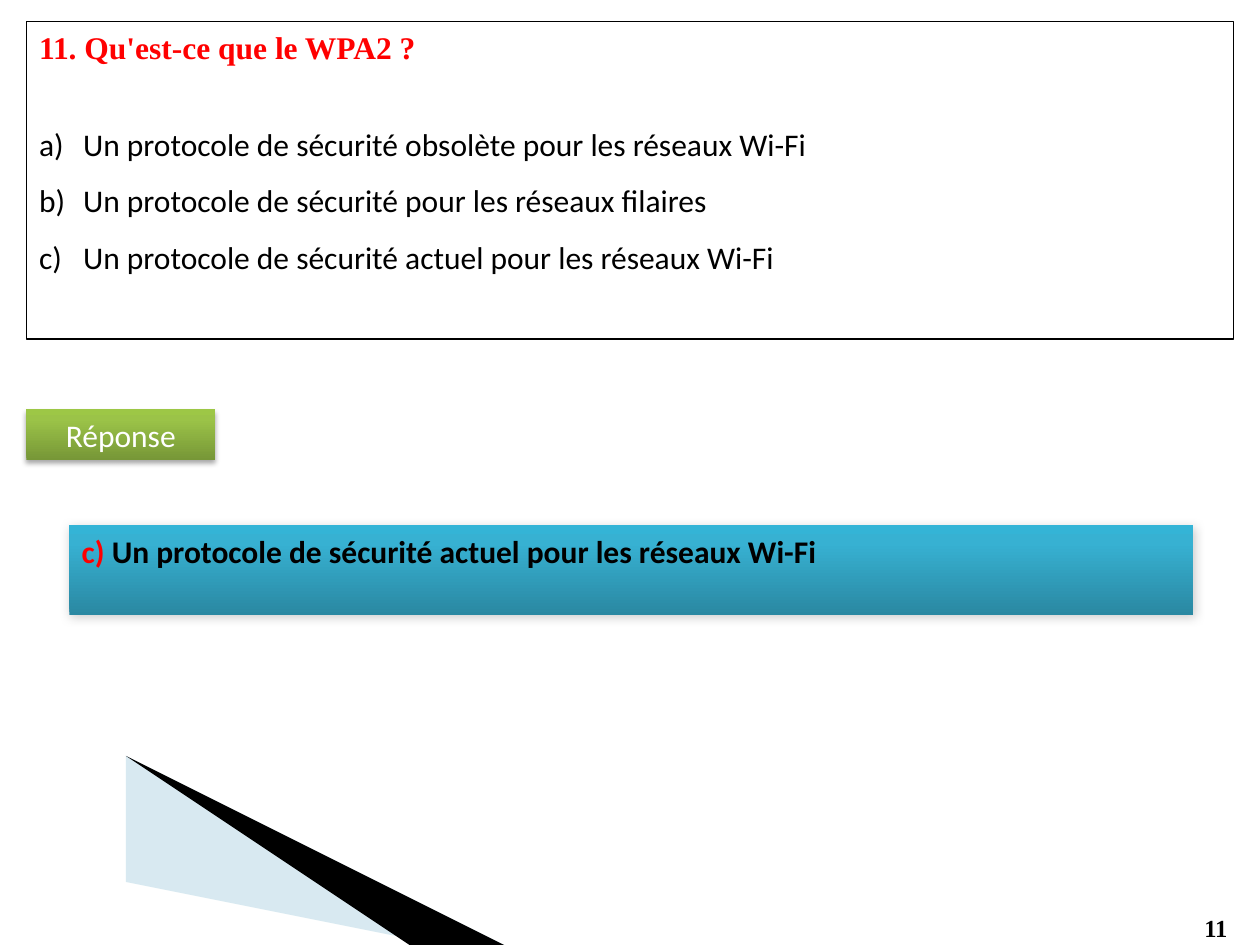
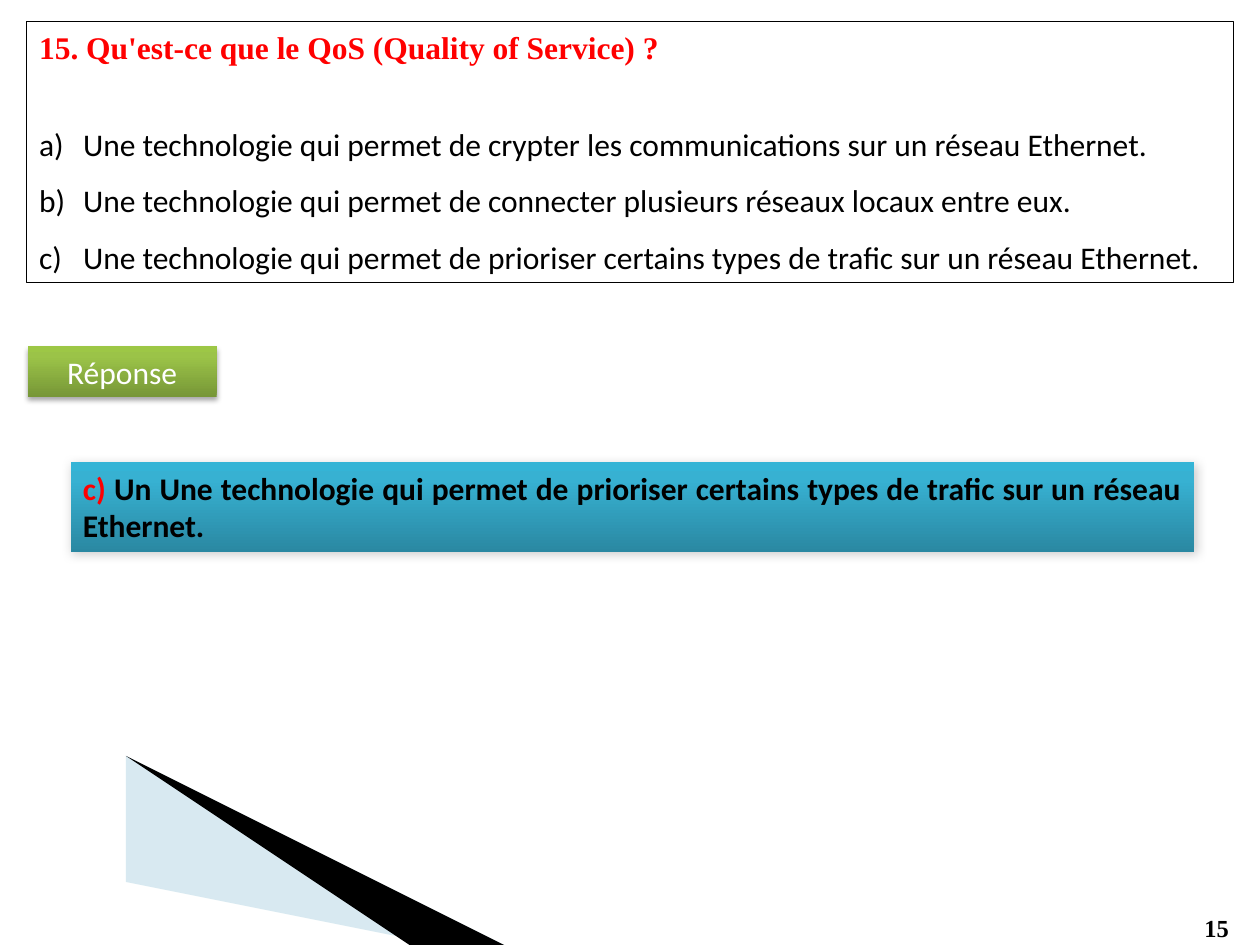
"""Build two quiz slides, each with a question, its options and the answer."""
from copy import deepcopy
from dataclasses import dataclass

import pptx
import pptx.dml.color
import pptx.enum.shapes
import pptx.enum.text
import pptx.oxml
import pptx.oxml.ns
import pptx.util
from lxml import etree

QUESTIONS = [
    {
        "number": 11,
        "question": "Qu'est-ce que le WPA2 ?",
        "options": [
            "Un protocole de sécurité obsolète pour les réseaux Wi-Fi",
            "Un protocole de sécurité pour les réseaux filaires",
            "Un protocole de sécurité actuel pour les réseaux Wi-Fi",
        ],
        "answer": ("c) ", "Un protocole de sécurité actuel pour les réseaux Wi-Fi"),
        "frame_height": 2.52,
        "label_at": (0.21, 3.25),
    },
    {
        "number": 15,
        "question": "Qu'est-ce que le QoS (Quality of Service) ?",
        "options": [
            "Une technologie qui permet de crypter les communications sur un réseau Ethernet.",
            "Une technologie qui permet de connecter plusieurs réseaux locaux entre eux.",
            "Une technologie qui permet de prioriser certains types de trafic sur un réseau Ethernet.",
        ],
        "answer": (
            "c) ",
            "Un Une technologie qui permet de prioriser certains types de trafic sur un réseau Ethernet.",
        ),
        "frame_height": 2.07,
        "label_at": (0.22, 2.75),
    },
]


@dataclass(frozen=True)
class Theme:
    """Colours, fonts and type sizes shared by the slides."""

    ink: str = "000000"
    accent: str = "FF0000"
    label_ink: str = "FFFFFF"
    wedge: str = "9FCADC"
    green: tuple = ((0, "779737"), (0.8, "9BC348"), (1, "9DC746"))
    blue: tuple = ((0, "2A88A2"), (0.8, "37B1D2"), (1, "34B4D6"))
    serif: str = "Times New Roman"
    sans: str = "Calibri"
    text_size: int = 18
    number_size: int = 14


THEME = Theme()
WIDTH, HEIGHT = 10, 7.5
MARGIN, FRAME_TOP = 0.21, 0.17
FRAME_WIDTH = WIDTH - 2 * MARGIN
TITLE_HEIGHT = 0.4
OPTIONS_BOTTOM = 2.02
ANSWER_OFFSET = (0.34, 0.92)
LABEL_SHADOW = {"alpha": 35, "blur": 3.1, "distance": 1.8, "angle": 90}
ANSWER_SHADOW = {"alpha": 20, "blur": 6, "distance": 1, "angle": 45}
WEDGES = [
    ([(0.55, 6.5), (4.51, 7.5), (5.89, 7.5), (0.64, 6.53)], THEME.wedge, 40),
    ([(0.53, 6.5), (3.67, 7.5), (4.53, 7.5)], THEME.ink, 100),
]

Inches, Pt, qn = pptx.util.Inches, pptx.util.Pt, pptx.oxml.ns.qn
ALIGN, ANCHOR = pptx.enum.text.PP_ALIGN, pptx.enum.text.MSO_ANCHOR


def rgb(value):
    """Turn a hex string into a colour."""
    return pptx.dml.color.RGBColor.from_string(value)


def style(font, color, family=THEME.sans, size=THEME.text_size, bold=False):
    """Set a font's look."""
    font.name, font.size, font.bold = family, Pt(size), bold
    font.color.rgb = rgb(color)


def place(part, left, top, width, height):
    """Put a part at a position in inches."""
    part.left, part.top = Inches(left), Inches(top)
    part.width, part.height = Inches(width), Inches(height)


def prepare(part, anchor=ANCHOR.TOP):
    """Wrap a part's text, fix its size and return the text frame."""
    frame = part.text_frame
    frame.word_wrap = True
    frame.auto_size = pptx.enum.text.MSO_AUTO_SIZE.NONE
    frame.vertical_anchor = anchor
    frame.margin_left = frame.margin_right = Inches(0.1)
    frame.margin_top = frame.margin_bottom = Inches(0.05)
    return frame


def add_shadow(part, alpha, blur, distance, angle):
    """Give a part a soft outer shadow."""
    part.shadow.inherit = False
    effects = part.element.spPr.find(qn("a:effectLst"))
    shadow = etree.SubElement(
        effects, qn("a:outerShdw"), blurRad=str(Pt(blur)), dist=str(Pt(distance)),
        dir=str(angle * 60000), rotWithShape="0")
    color = etree.SubElement(shadow, qn("a:srgbClr"), val=THEME.ink)
    etree.SubElement(color, qn("a:alpha"), val=str(alpha * 1000))


def add_panel(slide, box, stops, shadow, anchor):
    """Add a gradient rectangle and return its text frame."""
    panel = slide.shapes.add_shape(
        pptx.enum.shapes.MSO_SHAPE.RECTANGLE, *map(Inches, box))
    panel.line.fill.background()
    panel.fill.gradient()
    panel.fill.gradient_angle = 90
    first = panel.element.spPr.find(".//" + qn("a:gs"))
    first.addnext(deepcopy(first))
    for stop, (position, color) in zip(panel.fill.gradient_stops, stops):
        stop.position, stop.color.rgb = position, rgb(color)
    add_shadow(panel, **shadow)
    return prepare(panel, anchor)


def add_wedges(prs, slide):
    """Draw the corner wedges and move them to the slide master."""
    tree = prs.slide_master.shapes.element
    for index, (points, color, alpha) in enumerate(WEDGES):
        builder = slide.shapes.build_freeform(*points[0], scale=Inches(1))
        builder.add_line_segments(points[1:], close=True)
        wedge = builder.convert_to_shape()
        wedge.shadow.inherit = False
        wedge.line.fill.background()
        wedge.fill.solid()
        wedge.fill.fore_color.rgb = rgb(color)
        if alpha < 100:
            fill = wedge.element.spPr.find(".//" + qn("a:srgbClr"))
            etree.SubElement(fill, qn("a:alpha"), val=str(alpha * 1000))
        tree.insert(2 + index, wedge.element)


def fill_question(slide, item):
    """Fill the title and the framed list of options."""
    title, options = slide.shapes.title, slide.placeholders[1]
    place(title, MARGIN, FRAME_TOP, FRAME_WIDTH, TITLE_HEIGHT)
    heading = prepare(title).paragraphs[0]
    heading.text = f"{item['number']}. {item['question']}"
    heading.alignment = ALIGN.LEFT
    style(heading.font, THEME.accent, THEME.serif, bold=True)

    place(options, MARGIN, FRAME_TOP, FRAME_WIDTH, item["frame_height"])
    options.line.color.rgb = rgb(THEME.ink)
    options.line.width = Pt(0.75)
    frame = prepare(options, ANCHOR.BOTTOM)
    frame.margin_bottom = Inches(item["frame_height"] - OPTIONS_BOTTOM)
    frame.text = "\n".join(item["options"])
    for option in frame.paragraphs:
        option.line_spacing, option.space_before = 1.5, Pt(0)
        style(option.font, THEME.ink)
        properties = option._p.get_or_add_pPr()
        properties.set("marL", str(Inches(0.35)))
        properties.set("indent", str(-Inches(0.35)))
        bullet = pptx.oxml.parse_xml(
            f'<a:buAutoNum {pptx.oxml.ns.nsdecls("a")} type="alphaLcParenR"/>')
        properties.find(qn("a:spcBef")).addnext(bullet)


def add_answer(slide, item):
    """Add the answer label and the answer panel."""
    left, top = item["label_at"]
    label = add_panel(slide, (left, top, 1.5, 0.4), THEME.green,
                      LABEL_SHADOW, ANCHOR.MIDDLE).paragraphs[0]
    label.text, label.alignment = "Réponse", ALIGN.CENTER
    style(label.font, THEME.label_ink)

    box = (left + ANSWER_OFFSET[0], top + ANSWER_OFFSET[1], 8.92, 0.71)
    answer = add_panel(slide, box, THEME.blue, ANSWER_SHADOW, ANCHOR.TOP).paragraphs[0]
    answer.alignment = ALIGN.JUSTIFY
    for words, color in zip(item["answer"], (THEME.accent, THEME.ink)):
        run = answer.add_run()
        run.text = words
        style(run.font, color, bold=True)


def add_number(slide, number):
    """Add the slide number in the lower right corner."""
    corner = slide.shapes.add_textbox(*map(Inches, (9.46, 7.2, 0.53, 0.34)))
    line = prepare(corner).paragraphs[0]
    line.text = str(number)
    style(line.font, THEME.ink, THEME.serif, THEME.number_size, True)


def main():
    """Build and save the presentation."""
    prs = pptx.Presentation()
    prs.slide_width, prs.slide_height = Inches(WIDTH), Inches(HEIGHT)
    for item in QUESTIONS:
        slide = prs.slides.add_slide(prs.slide_layouts[1])
        add_number(slide, item["number"])
        fill_question(slide, item)
        add_answer(slide, item)
    add_wedges(prs, slide)
    prs.save("out.pptx")


if __name__ == "__main__":
    main()
